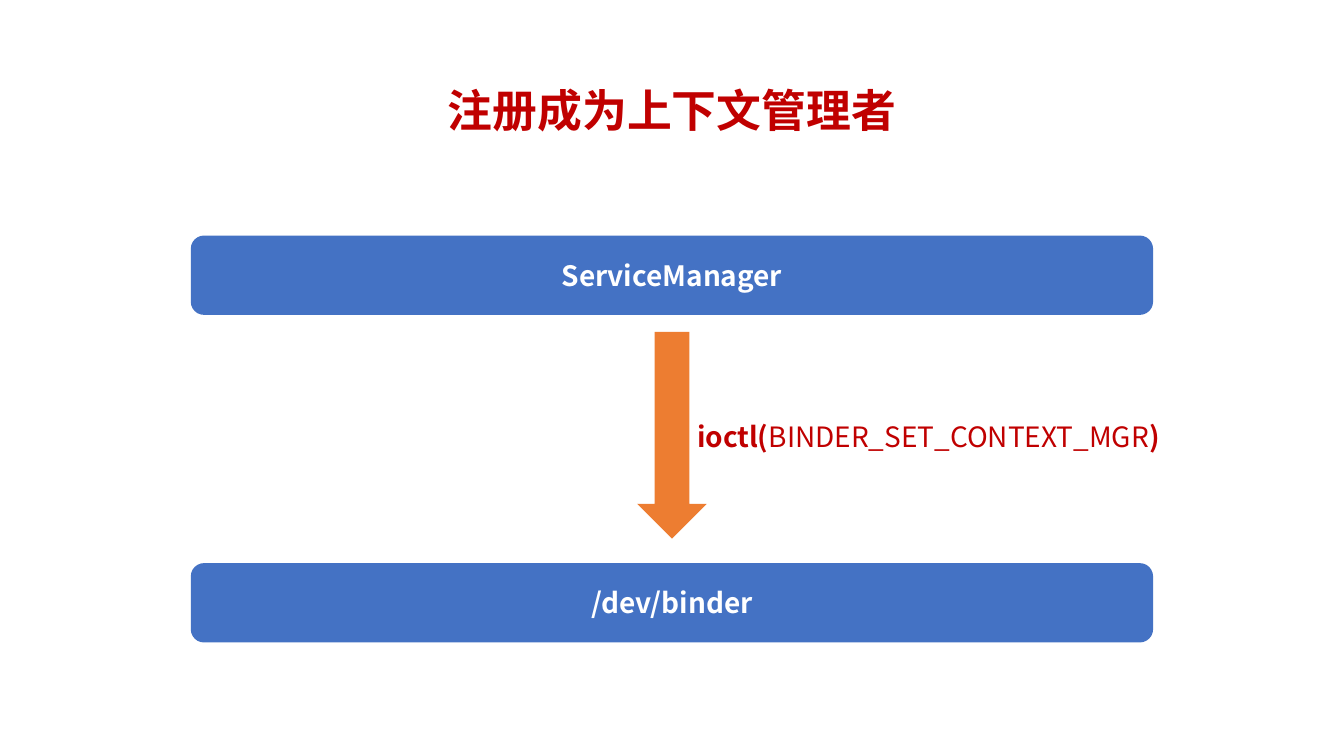
"""Build the slide on registering as the Binder context manager."""
from dataclasses import dataclass

from lxml.etree import SubElement
from pptx import Presentation
from pptx.dml.color import RGBColor as Rgb
from pptx.enum.shapes import MSO_SHAPE as Preset
from pptx.enum.text import MSO_ANCHOR as Anchor, MSO_AUTO_SIZE as AutoSize, PP_ALIGN as Align
from pptx.oxml.ns import qn
from pptx.shapes.autoshape import Shape
from pptx.slide import Slide
from pptx.util import Pt


@dataclass(frozen=True)
class Theme:
    font: str = "Noto Sans CJK SC"
    accent: Rgb = Rgb(0xC0, 0x00, 0x00)
    layer: Rgb = Rgb(0x44, 0x72, 0xC4)
    arrow: Rgb = Rgb(0xED, 0x7D, 0x31)
    on_layer: Rgb = Rgb(0xFF, 0xFF, 0xFF)
    title_size: float = 24
    body_size: float = 15


@dataclass(frozen=True)
class Frame:
    left: float
    top: float
    width: float
    height: float

    def lengths(self) -> tuple[Pt, ...]:
        return tuple(Pt(v) for v in (self.left, self.top, self.width, self.height))


@dataclass(frozen=True)
class Layer:
    name: str
    top: float


THEME = Theme()
LAYER_LEFT, LAYER_WIDTH, LAYER_HEIGHT = 102.25, 515.5, 42.5
LAYERS = (Layer("/dev/binder", 301.7), Layer("ServiceManager", 126.2))


def write(shape: Shape, *runs: tuple[str, bool], size: float, color: Rgb,
          align: Align = Align.CENTER, anchor: Anchor = Anchor.MIDDLE,
          wrap: bool = True, spacing: float = 1.0) -> None:
    frame = shape.text_frame
    frame.word_wrap = wrap
    frame.auto_size = AutoSize.NONE if wrap else AutoSize.SHAPE_TO_FIT_TEXT
    frame.vertical_anchor = anchor
    frame.margin_left = frame.margin_right = Pt(5.4)
    frame.margin_top = frame.margin_bottom = Pt(2.7)
    paragraph = frame.paragraphs[0]
    paragraph.alignment = align
    paragraph.line_spacing = spacing
    for text, bold in runs:
        run = paragraph.add_run()
        run.text = text
        run.font.size = Pt(size)
        run.font.bold = bold
        run.font.color.rgb = color
        run.font.name = THEME.font
        SubElement(run.font._element, qn("a:ea"), typeface=THEME.font)


def add_block(slide: Slide, preset: Preset, frame: Frame, fill: Rgb) -> Shape:
    block = slide.shapes.add_shape(preset, *frame.lengths())
    block.shadow.inherit = False
    block.fill.solid()
    block.fill.fore_color.rgb = fill
    block.line.fill.background()
    return block


def add_layer(slide: Slide, layer: Layer) -> None:
    frame = Frame(LAYER_LEFT, layer.top, LAYER_WIDTH, LAYER_HEIGHT)
    block = add_block(slide, Preset.ROUNDED_RECTANGLE, frame, THEME.layer)
    write(block, (layer.name, True), size=THEME.body_size, color=THEME.on_layer)


def main() -> None:
    deck = Presentation()
    deck.slide_width, deck.slide_height = Pt(720), Pt(405)
    slide = deck.slides.add_slide(deck.slide_layouts[6])

    title = slide.shapes.add_textbox(*Frame(49.5, 21.6, 621, 78.3).lengths())
    write(title, ("注册成为上下文管理者", True), size=THEME.title_size,
          color=THEME.accent, spacing=0.9)

    for layer in LAYERS:
        add_layer(slide, layer)

    add_block(slide, Preset.DOWN_ARROW, Frame(341.4, 177.8, 37.2, 110.8), THEME.arrow)

    call = slide.shapes.add_textbox(*Frame(368, 221.8, 267.8, 25.2).lengths())
    write(call, ("ioctl(", True), ("BINDER_SET_CONTEXT_MGR", False), (")", True),
          size=THEME.body_size, color=THEME.accent, align=Align.LEFT,
          anchor=Anchor.TOP, wrap=False)

    deck.save("out.pptx")


if __name__ == "__main__":
    main()
